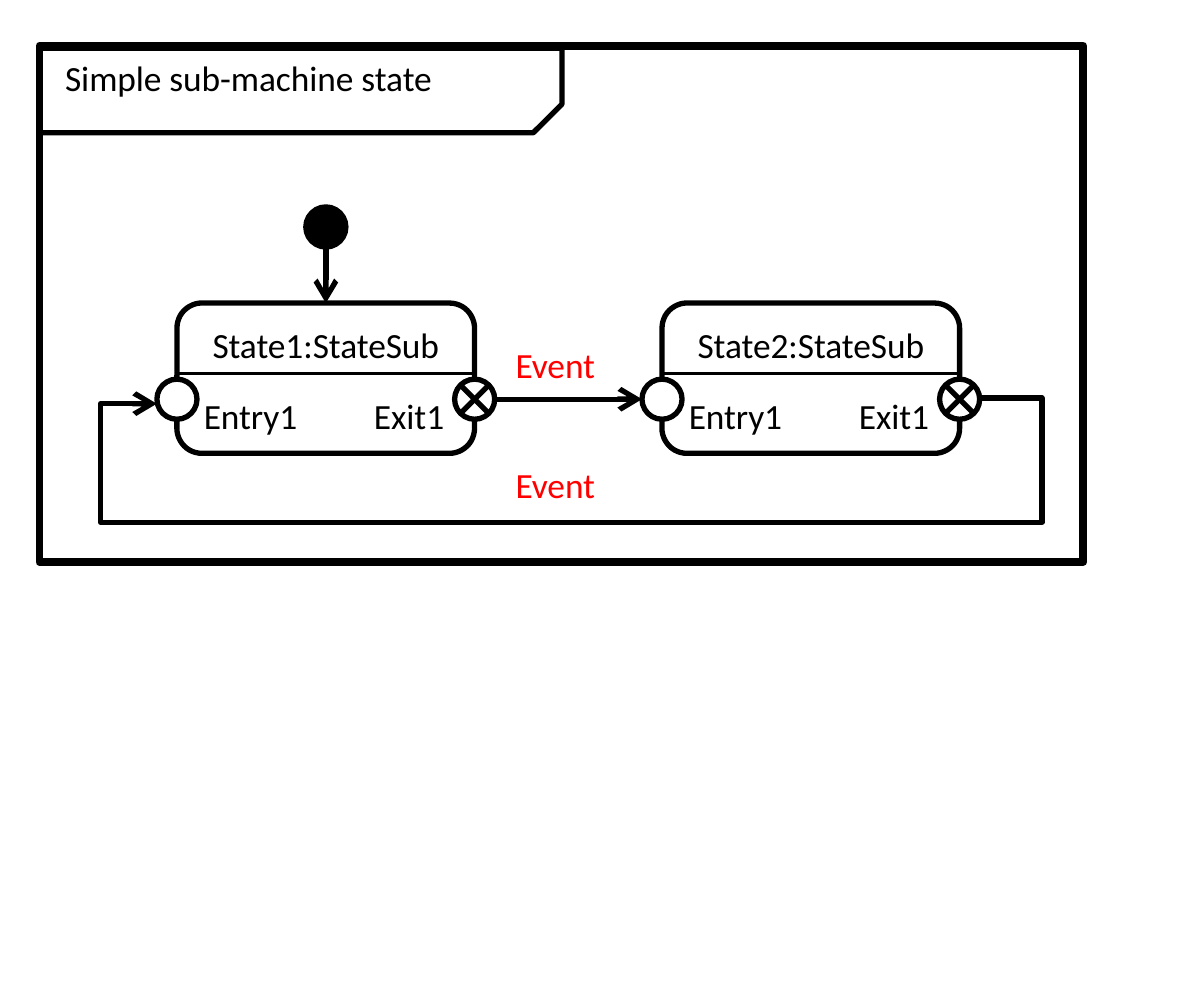
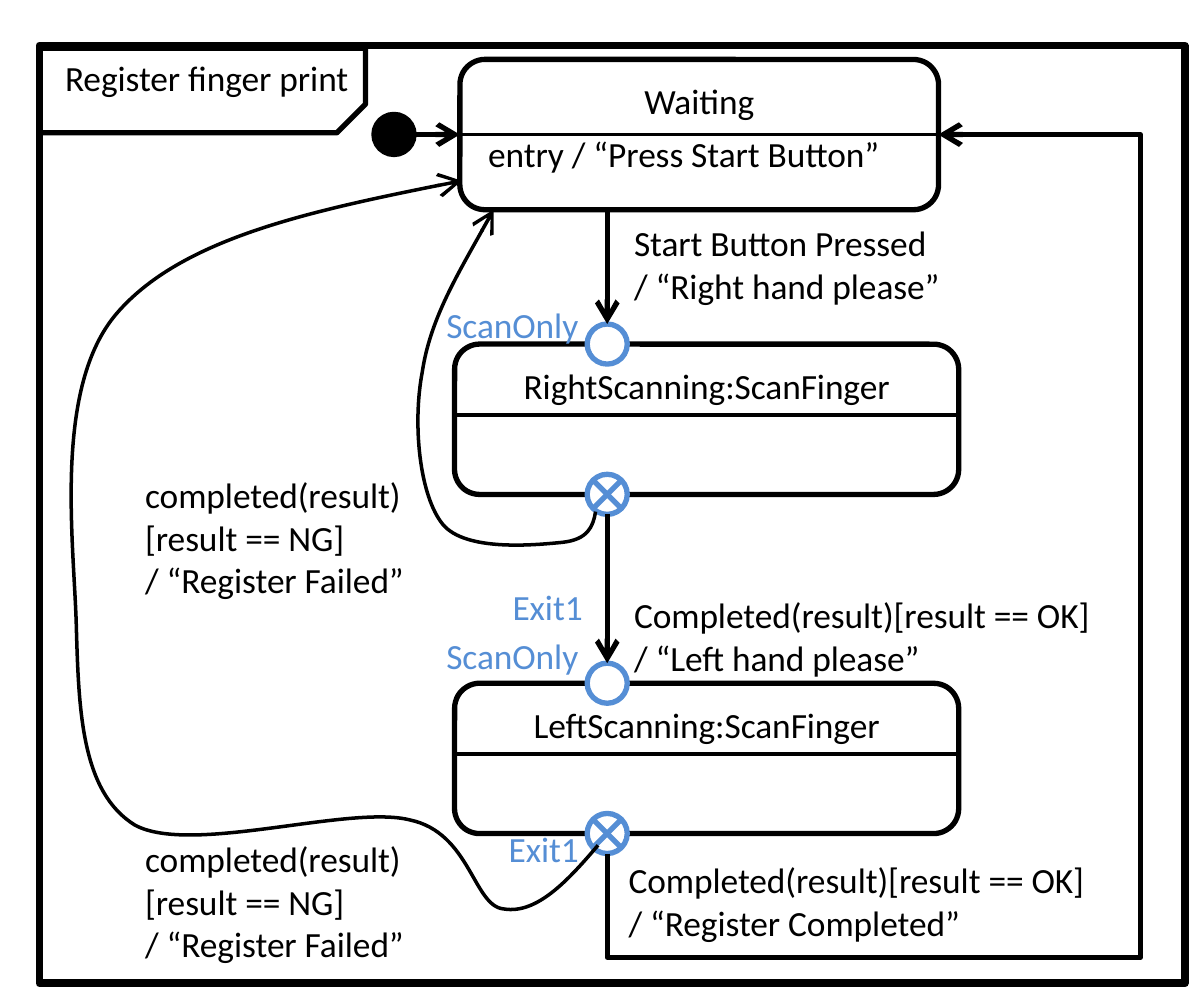
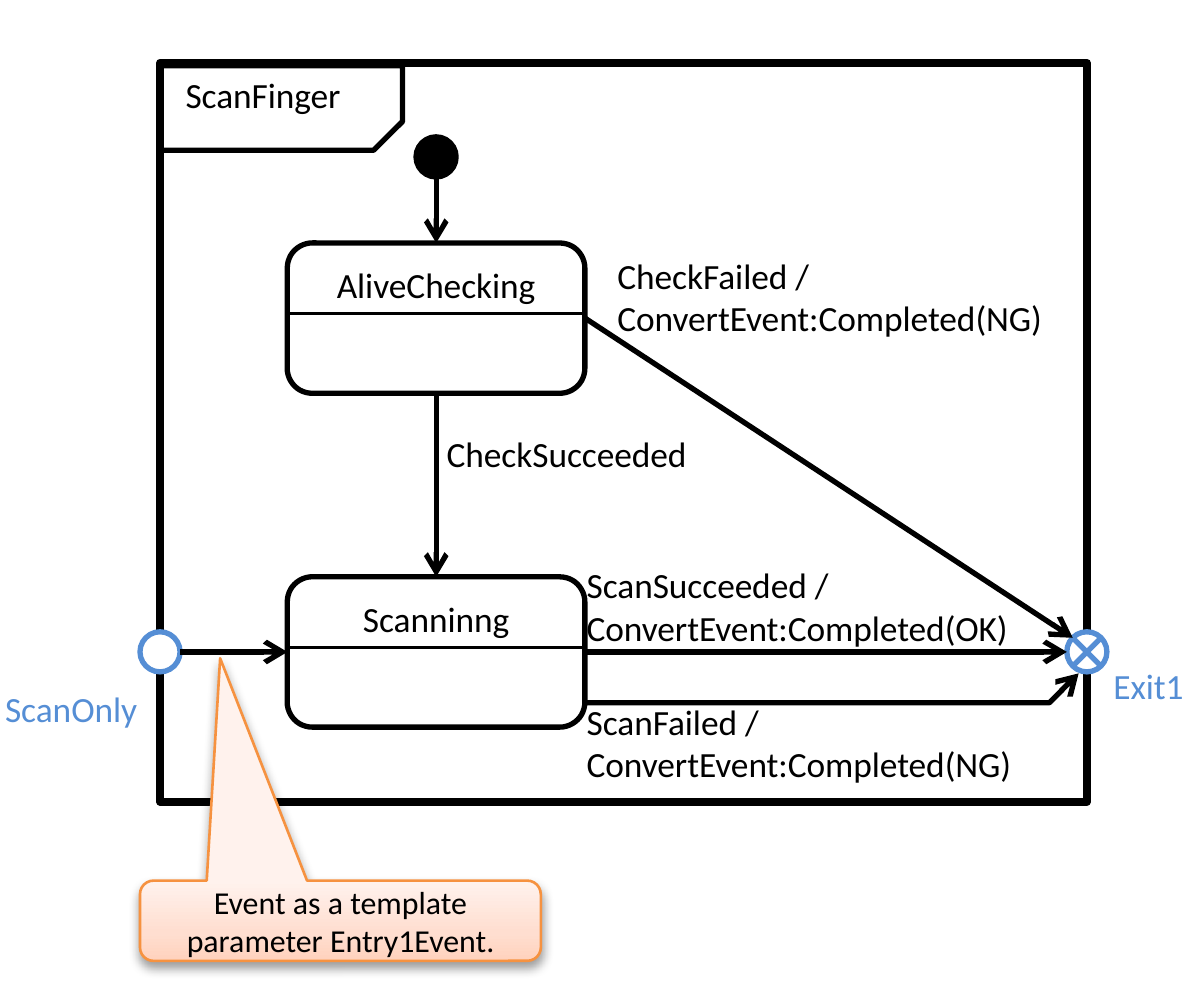
from copy import deepcopy

from lxml import etree
from pptx import Presentation
from pptx.dml.color import RGBColor
from pptx.enum.shapes import MSO_CONNECTOR, MSO_SHAPE
from pptx.enum.text import MSO_ANCHOR, MSO_AUTO_SIZE, PP_ALIGN
from pptx.oxml.ns import qn
from pptx.util import Pt

STRAIGHT = MSO_CONNECTOR.STRAIGHT
RECTANGLE = MSO_SHAPE.RECTANGLE
SNIPPED = MSO_SHAPE.SNIP_1_RECTANGLE
ROUNDED = MSO_SHAPE.ROUNDED_RECTANGLE
CIRCLE = MSO_SHAPE.FLOWCHART_CONNECTOR
CALLOUT = MSO_SHAPE.ROUNDED_RECTANGULAR_CALLOUT
ANCHOR_TOP = MSO_ANCHOR.TOP
ANCHOR_MIDDLE = MSO_ANCHOR.MIDDLE
FIXED_SIZE = MSO_AUTO_SIZE.NONE
GROW_SHAPE = MSO_AUTO_SIZE.SHAPE_TO_FIT_TEXT
ALIGN_LEFT = PP_ALIGN.LEFT
ALIGN_CENTER = PP_ALIGN.CENTER

BLACK = RGBColor(0x00, 0x00, 0x00)
WHITE = RGBColor(0xFF, 0xFF, 0xFF)
RED = RGBColor(0xFF, 0x00, 0x00)
BLUE = RGBColor(0x55, 0x8E, 0xD5)
ORANGE = RGBColor(0xF6, 0x92, 0x40)
CALLOUT_STOPS = (
    (0, RGBColor(0xFF, 0xD2, 0xBD)),
    (0.35, RGBColor(0xFF, 0xDE, 0xD0)),
    (1, RGBColor(0xFF, 0xF2, 0xED)),
)

FONT = "Calibri"
TITLE_ONLY = 5
TOP, LEFT, BOTTOM, RIGHT = range(4)
STATE_WIDTH, STATE_HEIGHT = 84.2, 42.5
PIN = 11.34
RADIUS = PIN / 2
LINE_HEIGHT, TEXT_MARGINS = 12.2, 7.2


def format_text(text_frame, color=BLACK, alignment=ALIGN_LEFT, size=10):
    for paragraph in text_frame.paragraphs:
        paragraph.alignment = alignment
        paragraph.font.name = FONT
        paragraph.font.size = Pt(size)
        paragraph.font.color.rgb = color


def draw_line(shape, color, width, arrow=False):
    shape.line.color.rgb = color
    shape.line.width = Pt(width)
    if arrow:
        line = shape._element.spPr.find(qn("a:ln"))
        etree.SubElement(line, qn("a:tailEnd"), type="arrow")


def add_outline(shapes, kind, box, color=BLACK, width=1.5, fill=None):
    shape = shapes.add_shape(kind, *(Pt(length) for length in box))
    shape.shadow.inherit = False
    if fill is None:
        shape.fill.background()
    else:
        shape.fill.solid()
        shape.fill.fore_color.rgb = fill
    draw_line(shape, color, width)
    return shape


def add_straight(shapes, start, end, color=BLACK, width=1.5, arrow=False):
    points = [(0, 0) if hasattr(place[0], "shape_id") else place for place in (start, end)]
    connector = shapes.add_connector(STRAIGHT, *(Pt(value) for point in points for value in point))
    if hasattr(start[0], "shape_id"):
        connector.begin_connect(*start)
    if hasattr(end[0], "shape_id"):
        connector.end_connect(*end)
    draw_line(connector, color, width, arrow)
    etree.SubElement(connector._element.spPr, qn("a:effectLst"))
    return connector


def add_arrow(slide, start, end):
    return add_straight(slide.shapes, start, end, arrow=True)


def add_route(slide, points, width=1.5):
    start, *others = [(Pt(x), Pt(y)) for x, y in points]
    builder = slide.shapes.build_freeform(*start)
    builder.add_line_segments(others, close=False)
    route = builder.convert_to_shape()
    route.shadow.inherit = False
    route.fill.background()
    draw_line(route, BLACK, width, arrow=True)
    return route


def add_curve(slide, points):
    curve = add_route(slide, points, width=1)
    outline = curve._element.spPr.find(".//" + qn("a:path"))
    segments = outline.findall(qn("a:lnTo"))
    for first in range(0, len(segments), 3):
        bezier = etree.SubElement(outline, qn("a:cubicBezTo"))
        for segment in segments[first:first + 3]:
            bezier.append(segment[0])
            outline.remove(segment)


def add_label(slide, text, left, top, width, color=BLACK, lines=None):
    lines = lines or text.count("\n") + 1
    height = lines * LINE_HEIGHT + TEXT_MARGINS
    label = slide.shapes.add_textbox(Pt(left), Pt(top), Pt(width), Pt(height))
    label.text_frame.word_wrap = True
    label.text_frame.auto_size = GROW_SHAPE
    label.text_frame.text = text
    format_text(label.text_frame, color)


def add_frame(slide, title, left, top, width, height, tag_width, title_width):
    add_outline(slide.shapes, RECTANGLE, (left, top, width, height), width=2.25)
    tag = add_outline(slide.shapes, SNIPPED, (left, top + 0.8, tag_width, 23.9))
    tag.adjustments[0] = 0.34
    tag._element.spPr.find(qn("a:xfrm")).set("flipV", "1")
    heading = slide.shapes.title
    heading.left, heading.top = Pt(left), Pt(top - 0.6)
    heading.width, heading.height = Pt(title_width), Pt(19.4)
    heading.text_frame.text = title
    heading.text_frame.word_wrap = True
    heading.text_frame.auto_size = FIXED_SIZE
    heading.text_frame.vertical_anchor = ANCHOR_TOP
    format_text(heading.text_frame)


def add_state(slide, name, left, top, width=STATE_WIDTH, divider=20):
    state = add_outline(slide.shapes, ROUNDED, (left, top, width, STATE_HEIGHT))
    state.text_frame.text = name
    state.text_frame.word_wrap = True
    state.text_frame.vertical_anchor = ANCHOR_TOP
    format_text(state.text_frame, alignment=ALIGN_CENTER)
    if divider == STATE_HEIGHT / 2:
        ends = (state, LEFT), (state, RIGHT)
    else:
        ends = (left, top + divider), (left + width, top + divider)
    add_straight(slide.shapes, *ends, width=1)
    return state


def add_pin(shapes, x, y, color=BLACK, fill=WHITE):
    return add_outline(shapes, CIRCLE, (x - RADIUS, y - RADIUS, PIN, PIN), color, fill=fill)


def add_start(slide, x, y):
    add_pin(slide.shapes, x, y, fill=BLACK)


def add_exit(slide, x, y, color=BLACK):
    group = slide.shapes.add_group_shape()
    add_pin(group.shapes, x, y, color)
    reach = RADIUS * 0.71
    for slope in (1, -1):
        add_straight(group.shapes, (x - reach, y - slope * reach), (x + reach, y + slope * reach), color)


def add_sub_state(slide, name, left, top, pin_y):
    state = add_state(slide, name, left, top)
    add_pin(slide.shapes, left, pin_y)
    add_exit(slide, left + STATE_WIDTH, pin_y)
    add_label(slide, "Entry1", left + 0.5, top + 22.3, 52.6)
    add_label(slide, "Exit1", left + 48.6, top + 22.3, 39.6)
    return state


def add_scan_state(slide, name, left, top, pin_x):
    add_state(slide, name, left, top, 142.6)
    add_pin(slide.shapes, pin_x, top, BLUE)
    add_exit(slide, pin_x, top + STATE_HEIGHT, BLUE)


def add_callout(slide, text, left, top, width, height):
    callout = add_outline(slide.shapes, CALLOUT, (left, top, width, height), ORANGE, 0.75)
    for index, value in enumerate((-0.3, -3.27, 0.17)):
        callout.adjustments[index] = value
    callout.fill.gradient()
    callout.fill.gradient_angle = 90
    stops = callout._element.spPr.find(".//" + qn("a:gsLst"))
    stops.append(deepcopy(stops[0]))
    for stop, (position, color) in zip(callout.fill.gradient_stops, CALLOUT_STOPS):
        stop.position = position
        stop.color.rgb = color
    effects = callout._element.spPr.find(qn("a:effectLst"))
    shadow = etree.SubElement(
        effects, qn("a:outerShdw"), blurRad=str(Pt(3.1)), dist=str(Pt(1.6)), dir="5400000", rotWithShape="0"
    )
    shade = etree.SubElement(shadow, qn("a:srgbClr"), val=str(BLACK))
    etree.SubElement(shade, qn("a:alpha"), val="38000")
    callout.text_frame.text = text
    callout.text_frame.word_wrap = True
    callout.text_frame.vertical_anchor = ANCHOR_MIDDLE
    format_text(callout.text_frame, alignment=ALIGN_CENTER, size=9)


def build_sub_machine(slide):
    add_frame(slide, "Simple sub-machine state", 11.2, 12.9, 295.3, 146, 147.8, 147.8)
    first, second, top, pin_y = 50.1, 187.3, 85.7, 112.9
    state = add_sub_state(slide, "State1:StateSub", first, top, pin_y)
    add_sub_state(slide, "State2:StateSub", second, top, pin_y)
    start_x, start_y = first + STATE_WIDTH / 2, 64.2
    add_start(slide, start_x, start_y)
    add_arrow(slide, (start_x, start_y + RADIUS), (state, TOP))
    add_arrow(slide, (first + STATE_WIDTH + RADIUS, pin_y), (second - RADIUS, pin_y))
    add_route(slide, [
        (second + STATE_WIDTH + RADIUS, 112.6), (294.8, 112.6), (294.8, 147.7),
        (28.5, 147.7), (28.5, 114.2), (first - RADIUS, 114.2),
    ])
    for event_top in (93.6, 127.4):
        add_label(slide, "Event", 138.8, event_top, 52.6, RED)


def build_registration(slide):
    add_frame(slide, "Register finger print", 11.2, 12.9, 324, 265.2, 92.2, 147.8)
    pin_x, right_top, left_top = 171.8, 97.3, 193.2
    waiting_left, waiting_top, waiting_width = 130.1, 16.8, 135.4
    middle = waiting_top + STATE_HEIGHT / 2
    waiting = add_state(slide, "Waiting", waiting_left, waiting_top, waiting_width, STATE_HEIGHT / 2)
    add_label(slide, "entry / “Press Start Button”", 131, 33.8, waiting_width)
    add_start(slide, 111.5, middle)
    add_arrow(slide, (111.5 + RADIUS, middle), (waiting, LEFT))
    add_scan_state(slide, "RightScanning:ScanFinger", 128.6, right_top, pin_x)
    add_scan_state(slide, "LeftScanning:ScanFinger", 128.6, left_top, pin_x)
    add_arrow(slide, (pin_x, waiting_top + STATE_HEIGHT), (pin_x, right_top - RADIUS))
    add_arrow(slide, (pin_x, right_top + STATE_HEIGHT + RADIUS), (pin_x, left_top - RADIUS))
    add_route(slide, [
        (pin_x, left_top + STATE_HEIGHT + RADIUS), (pin_x, 270.7), (322.6, 270.7),
        (322.6, middle), (waiting_left + waiting_width, middle),
    ])
    add_curve(slide, [
        (169.2, 239), (160.6, 249.1), (151.9, 258.5), (142.6, 257),
        (133.9, 256.3), (133.2, 235.4), (115.9, 231.8),
        (98.6, 227.5), (54, 241.9), (38.2, 233.3),
        (23, 223.9), (22.3, 200.9), (21.6, 176.4),
        (20.9, 152.6), (15.1, 109.4), (33.1, 88.6),
        (51.1, 67.7), (90.7, 59), (130.7, 51.1),
    ])
    add_curve(slide, [
        (168.5, 144.7), (167.8, 149), (166.3, 152.6), (159.1, 153.4),
        (151.9, 154.1), (131.8, 156.2), (125.3, 148.3),
        (118.8, 140.4), (116.6, 120.2), (119.5, 105.1),
        (121.7, 90.7), (131, 74.9), (139.7, 59.3),
    ])
    for text, left, top, width in (
        ("ScanOnly", 119.2, 82.1, 52.6),
        ("ScanOnly", 119.2, 175.7, 52.6),
        ("Exit1", 137.9, 162, 36.7),
        ("Exit1", 136.8, 230.4, 36.7),
    ):
        add_label(slide, text, left, top, width, BLUE)
    for text, left, top, width in (
        ("Start Button Pressed\n/ “Right hand please”", 172.3, 59, 104.4),
        ("Completed(result)[result == OK]\n/ “Left hand please”", 172.3, 164.2, 151),
        ("Completed(result)[result == OK]\n/ “Register Completed”", 170.8, 239.2, 147),
    ):
        add_label(slide, text, left, top, width)
    for top in (130.3, 233.3):
        add_label(slide, "completed(result)\n[result == NG]\n/ “Register Failed”", 34, top, 99.4)


def build_scan_finger(slide):
    left, top, width, height = 45.3, 17.8, 262.2, 208.9
    add_frame(slide, "ScanFinger", left, top, width, height, 68.6, 68.6)
    state_left, checking_top, scanning_top = 81.3, 68.7, 163.1
    pin_y = scanning_top + STATE_HEIGHT / 2
    state_right = state_left + STATE_WIDTH
    exit_x = left + width
    add_callout(slide, "Event as a template parameter Entry1Event.", 39.6, 249, 113.4, 22.7)
    checking = add_state(slide, "AliveChecking", state_left, checking_top)
    scanning = add_state(slide, "Scanninng", state_left, scanning_top)
    start_x, start_y = state_left + STATE_WIDTH / 2, 44.4
    add_start(slide, start_x, start_y)
    add_pin(slide.shapes, left, pin_y, BLUE)
    add_exit(slide, exit_x, pin_y, BLUE)
    add_arrow(slide, (start_x, start_y + RADIUS), (checking, TOP))
    add_arrow(slide, (checking, BOTTOM), (scanning, TOP))
    add_arrow(slide, (left + RADIUS, pin_y), (scanning, LEFT))
    add_arrow(slide, (scanning, RIGHT), (exit_x - RADIUS, pin_y))
    add_arrow(slide, (checking, RIGHT), (exit_x - 4, pin_y - 4))
    add_route(slide, [(state_right, 198.7), (296.9, 198.7), (305.2, 190.4)])
    add_label(slide, "ScanOnly", -5.6, 190.8, 52.6, BLUE)
    add_label(slide, "Exit1", 307.9, 184.3, 36.7, BLUE)
    add_label(slide, "CheckSucceeded", 119.3, 118.8, 144)
    for text, text_left, text_top in (
        ("CheckFailed / ConvertEvent:Completed(NG)", 167.6, 68.2),
        ("ScanSucceeded / ConvertEvent:Completed(OK)", 158.9, 155.7),
        ("ScanFailed / ConvertEvent:Completed(NG)", 158.9, 194.4),
    ):
        add_label(slide, text, text_left, text_top, 144, lines=2)


def main():
    presentation = Presentation()
    presentation.slide_width = Pt(340.6)
    presentation.slide_height = Pt(283.6)
    layout = presentation.slide_layouts[TITLE_ONLY]
    for build in (build_sub_machine, build_registration, build_scan_finger):
        build(presentation.slides.add_slide(layout))
    presentation.save("out.pptx")


if __name__ == "__main__":
    main()
